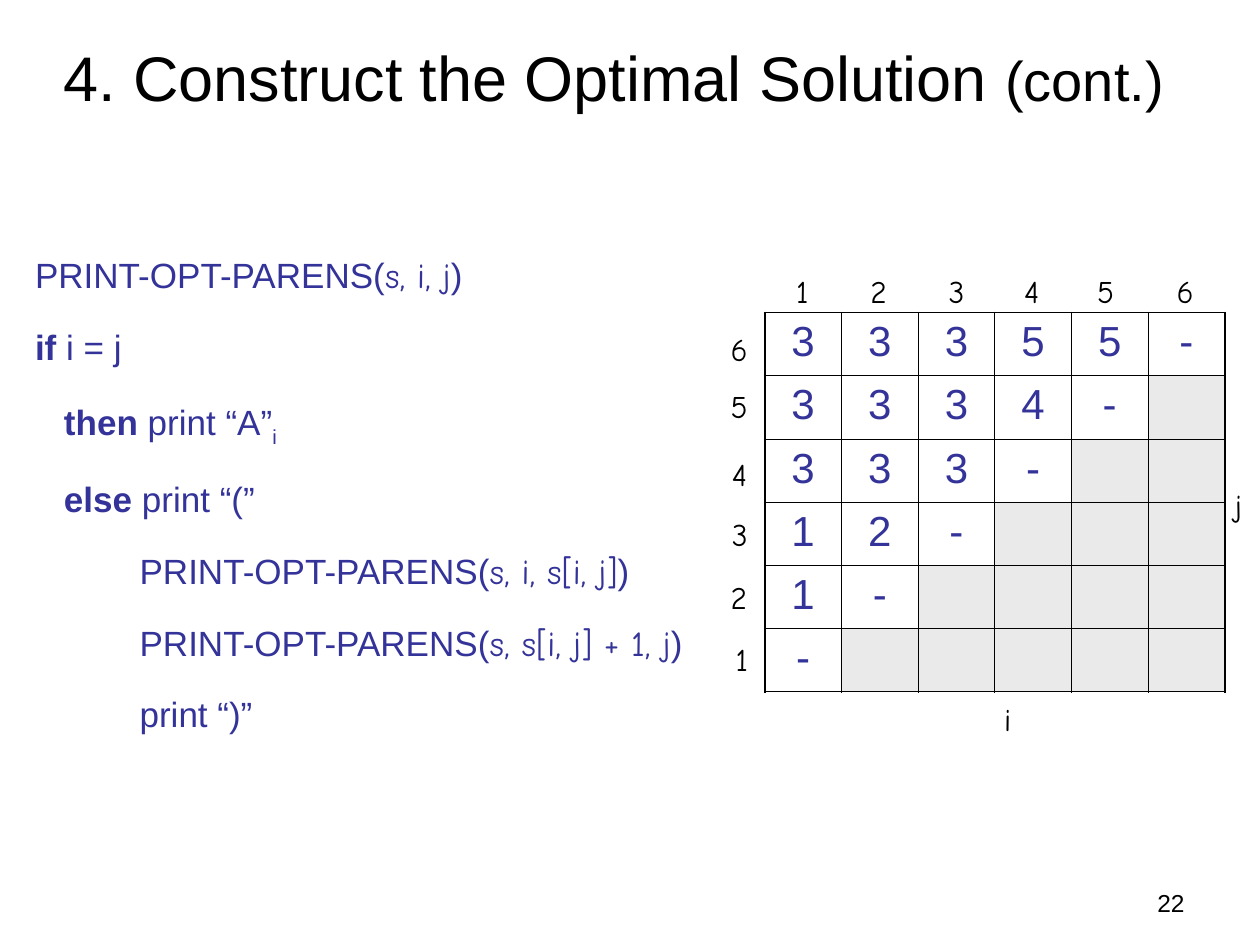
import pptx
import pptx.dml.color
import pptx.enum.text
import pptx.oxml
import pptx.oxml.ns
import pptx.util
from pptx.util import Inches

BLACK = pptx.dml.color.RGBColor(0x00, 0x00, 0x00)
INDIGO = pptx.dml.color.RGBColor(0x33, 0x33, 0x99)
GRAY = pptx.dml.color.RGBColor(0xEA, 0xEA, 0xEA)
ALIGN = pptx.enum.text.PP_ALIGN
ANCHOR = pptx.enum.text.MSO_ANCHOR


def add_runs(paragraph, runs, color, paragraph_format):
    for name, value in paragraph_format.items():
        setattr(paragraph, name, value)
    for text, size, font_format in runs:
        run = paragraph.add_run()
        run.text = text
        run.font.color.rgb = color
        values = {"name": "Arial", "size": pptx.util.Pt(size), **font_format}
        for name, value in values.items():
            setattr(run.font, name, value)


def add_box(left, top, width, height, frame_format):
    box = slide.shapes.add_textbox(
        Inches(left), Inches(top), Inches(width), Inches(height)
    )
    for name, value in {"word_wrap": True, **frame_format}.items():
        setattr(box.text_frame, name, value)
    return box.text_frame


presentation = pptx.Presentation()
presentation.slide_width = Inches(10)
presentation.slide_height = Inches(7.5)
slide = presentation.slides.add_slide(presentation.slide_layouts[6])

number_frame = add_box(7.17, 7, 2.33, 0.35, {})
add_runs(number_frame.paragraphs[0], [("22", 14, {})], BLACK, {"alignment": ALIGN.RIGHT})

title_frame = add_box(0.37, 0.11, 9, 0.99, {"vertical_anchor": ANCHOR.MIDDLE})
title_runs = [("4. Construct the Optimal Solution ", 36, {}), ("(cont.)", 32, {})]
add_runs(title_frame.paragraphs[0], title_runs, BLACK, {"alignment": ALIGN.CENTER})

split_rows = ["33355-", "3334-", "333-", "12-", "1-", "-"]
count = len(split_rows)
table = slide.shapes.add_table(
    count, count, Inches(6.07), Inches(2.48), Inches(3.65), Inches(3.01)
).table
table.first_row = False
table.horz_banding = False
cell_format = {"alignment": ALIGN.CENTER, "space_before": pptx.util.Pt(6)}
for row, splits in enumerate(split_rows):
    for column in range(count):
        cell = table.cell(row, column)
        properties = cell._tc.get_or_add_tcPr()
        outer_edges = {
            "lnL": column == 0,
            "lnR": column == count - 1,
            "lnT": row == 0,
            "lnB": row == count - 1,
        }
        for edge, is_outer in outer_edges.items():
            width = pptx.util.Pt(1.08 if is_outer else 0.45)
            properties.append(pptx.oxml.parse_xml(
                f'<a:{edge} {pptx.oxml.ns.nsdecls("a")} w="{width}"><a:solidFill>'
                f'<a:srgbClr val="{BLACK}"/></a:solidFill></a:{edge}>'
            ))
        if column < len(splits):
            cell.fill.background()
            add_runs(
                cell.text_frame.paragraphs[0],
                [(splits[column], 24, {})], INDIGO, cell_format,
            )
        else:
            cell.fill.solid()
            cell.fill.fore_color.rgb = GRAY

labels = [("i", 7.87, 5.51, 0.25), ("j", 9.7, 3.81, 0.3)]
column_lefts = [6.22, 6.81, 7.43, 8.03, 8.61, 9.24]
row_places = [(5.74, 5.03), (5.7, 4.54), (5.71, 4.04), (5.71, 3.56), (5.7, 3.02), (5.7, 2.57)]
label_widths = [0.3, 0.33, 0.32, 0.32, 0.33, 0.33]
for index, width in enumerate(label_widths):
    digit = str(index + 1)
    labels.append((digit, column_lefts[index], 2.11, width))
    labels.append((digit, *row_places[index], width))
for text, left, top, width in labels:
    label_frame = add_box(left, top, width, 0.4, {"word_wrap": text == "j"})
    add_runs(label_frame.paragraphs[0], [(text, 18, {"name": "Comic Neue"})], BLACK, {})

bold = {"bold": True}
comic = {"name": "Comic Neue"}
call = ("PRINT-OPT-PARENS(", {})
close = (")", {})
code_lines = [
    (0, [call, ("s, i, j", comic), close]),
    (0, [("if", bold), (" i = j", {})]),
    (0.23, [("then", bold), (" print “A”", {}), ("i", {})]),
    (0.23, [("else", bold), (" print “(”", {})]),
    (0.83, [call, ("s, i, s[i, j]", comic), close]),
    (0.83, [call, ("s, s[i, j] + 1, j", comic), close]),
    (0.83, [("print “)”", {})]),
]
code_frame = add_box(0.18, 1.8, 8, 5.23, {})
code_format = {"line_spacing": 1.5, "space_before": pptx.util.Pt(5)}
for index, (indent, parts) in enumerate(code_lines):
    paragraph = code_frame.add_paragraph() if index else code_frame.paragraphs[0]
    runs = [(text, 20, font_format) for text, font_format in parts]
    add_runs(paragraph, runs, INDIGO, code_format)
    paragraph._p.get_or_add_pPr().set("marL", str(Inches(indent)))
subscript = code_frame.paragraphs[2].runs[-1]
subscript._r.get_or_add_rPr().set("baseline", "-25000")

presentation.save("out.pptx")
